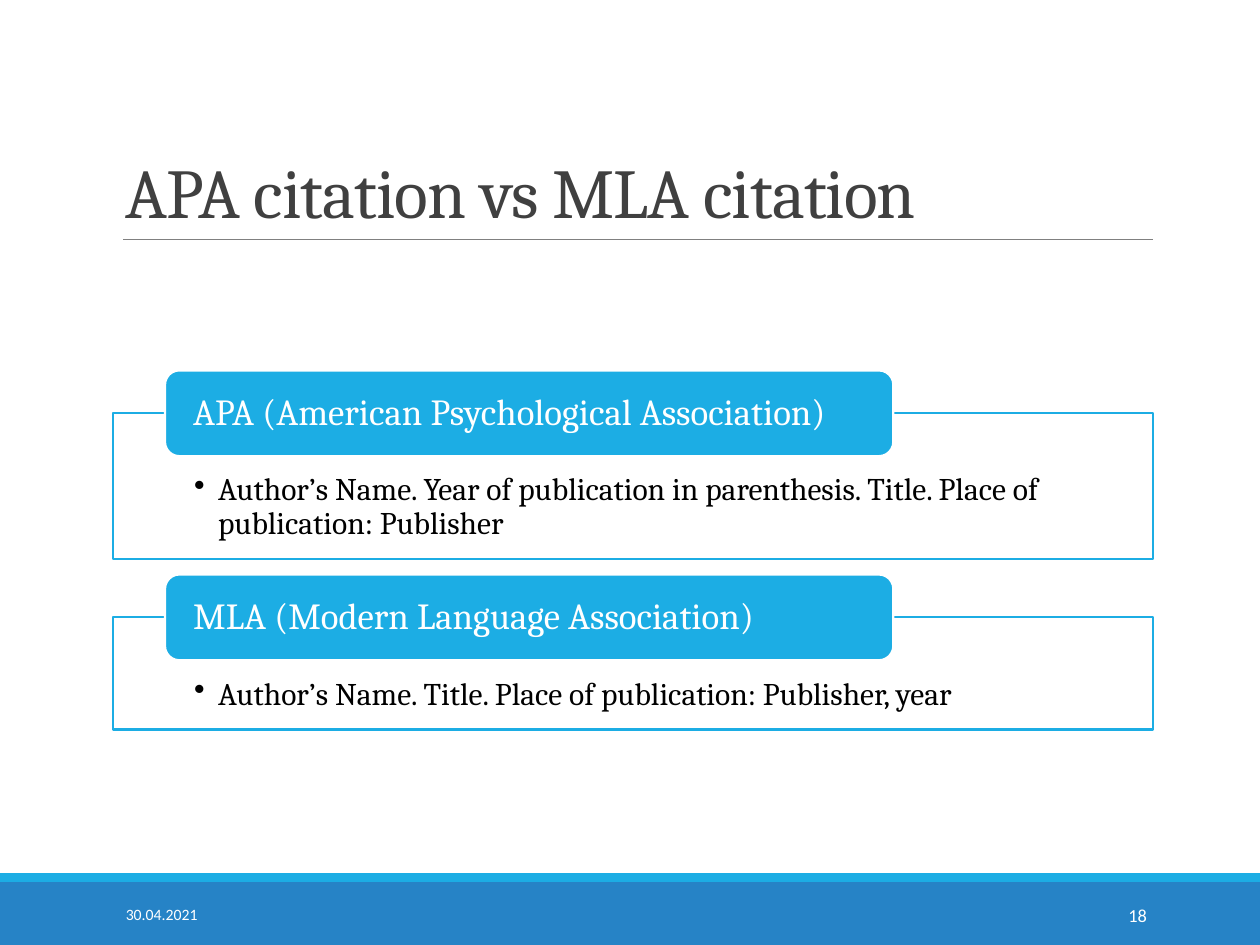
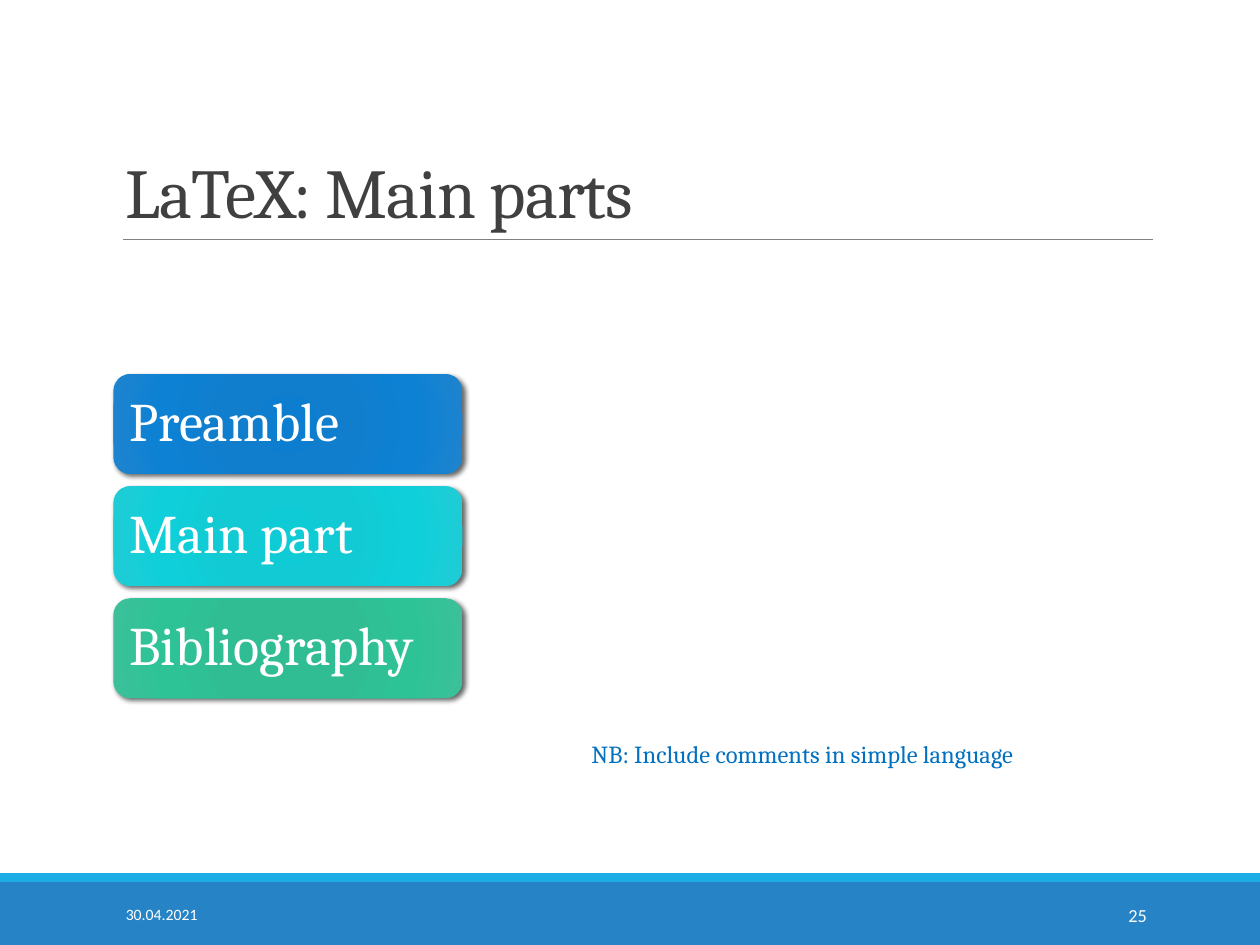
from dataclasses import dataclass

from lxml import etree
from pptx import Presentation
from pptx.dml.color import RGBColor
from pptx.enum.shapes import MSO_CONNECTOR, MSO_SHAPE
from pptx.enum.text import MSO_ANCHOR, PP_ALIGN
from pptx.oxml.ns import nsdecls, qn
from pptx.util import Inches, Pt

RECT, ROUND = MSO_SHAPE.RECTANGLE, MSO_SHAPE.ROUNDED_RECTANGLE
LINE = MSO_CONNECTOR.STRAIGHT
TOP, MIDDLE, BOTTOM = MSO_ANCHOR.TOP, MSO_ANCHOR.MIDDLE, MSO_ANCHOR.BOTTOM
LEFT, CENTER, RIGHT = PP_ALIGN.LEFT, PP_ALIGN.CENTER, PP_ALIGN.RIGHT

# Grid: 100 columns by 75 rows of square cells
SLIDE_W, SLIDE_H = 10, 7.5
COLS, ROWS = 100, 75
CELL = SLIDE_W / COLS
MARGIN, CONTENT_W = 9, 82.5
BAND_TOP, STRIPE_H = 70, 0.7

# Shared colours and fonts
SKY, BLUE, WHITE, BLACK = "1CADE4", "2683C6", "FFFFFF", "000000"
TITLE_GREY, RULE_GREY, NOTE_BLUE = "404040", "808080", "0070C0"
SERIF, SANS = "Cambria", "Calibri"
DATE = "30.04.2021"


@dataclass(frozen=True)
class Box:
    x: float
    y: float
    w: float
    h: float

    def emu(self) -> tuple:
        return tuple(grid(v) for v in (self.x, self.y, self.w, self.h))


@dataclass(frozen=True)
class Style:
    size: float
    color: str
    font: str = SERIF
    align: int = LEFT
    anchor: int = MIDDLE
    spacing: float = 1.0
    insets: tuple = (1, 0.5, 1, 0.5)


@dataclass(frozen=True)
class Citation:
    heading: str
    body: str
    y: float
    h: float


@dataclass(frozen=True)
class Part:
    name: str
    gradient: tuple


TITLE = Style(40, TITLE_GREY, anchor=BOTTOM, spacing=0.85)
DATE_STYLE = Style(9, WHITE, SANS)
NUMBER = Style(10.5, WHITE, SANS, RIGHT)
HEADING = Style(21, WHITE, spacing=0.9, insets=(1.9, 0, 1.9, 0))
BODY = Style(18, BLACK, anchor=TOP, spacing=0.9, insets=(6.4, 4.8, 6.4, 1.4))
PART = Style(31, WHITE, spacing=0.9, insets=(0.9, 0.9, 0.9, 0.9))
NOTE = Style(14, NOTE_BLUE, align=CENTER, anchor=TOP)

CITATIONS = (
    Citation("APA (American Psychological Association)",
             "Author’s Name. Year of publication in parenthesis. Title. "
             "Place of publication: Publisher", 32.8, 11.6),
    Citation("MLA (Modern Language Association)",
             "Author’s Name. Title. Place of publication: Publisher, year",
             49, 8.9),
)
STOPS = (0, 34, 70, 100)
PARTS = (
    Part("Preamble", ("0D7ECF", "117ECD", "0D81D4", "1E84CE")),
    Part("Main part", ("0ECBD5", "12CAD3", "0FD0DA", "20CBD4")),
    Part("Bibliography", ("2DBE94", "30BD94", "2EC397", "3CC09A")),
)


def grid(cells: float) -> int:
    return Inches(cells * CELL)


def rgb(color: str) -> RGBColor:
    return RGBColor.from_string(color)


def write(sp, text: str, style: Style):
    """Fill a shape with one styled paragraph and return it."""
    tf = sp.text_frame
    tf.word_wrap = True
    tf.vertical_anchor = style.anchor
    (tf.margin_left, tf.margin_top,
     tf.margin_right, tf.margin_bottom) = map(grid, style.insets)
    tf.text = text
    p = tf.paragraphs[0]
    p.alignment, p.line_spacing = style.align, style.spacing
    font = p.runs[0].font
    font.name, font.size = style.font, Pt(style.size)
    font.color.rgb = rgb(style.color)
    return p


def add_text(s, box: Box, text: str, style: Style):
    return write(s.shapes.add_textbox(*box.emu()), text, style)


def add_block(s, kind: int, box: Box, fill: str, line: str = ""):
    sp = s.shapes.add_shape(kind, *box.emu())
    sp.shadow.inherit = False
    sp.fill.solid()
    sp.fill.fore_color.rgb = rgb(fill)
    if line:
        sp.line.color.rgb = rgb(line)
        sp.line.width = Pt(1.25)
    else:
        sp.line.fill.background()
    return sp


def add_bullet(p) -> None:
    pPr = p._p.get_or_add_pPr()
    pPr.set("marL", str(grid(1.9)))
    pPr.set("indent", str(-grid(1.9)))
    etree.SubElement(pPr, qn("a:buChar")).set("char", "•")


def set_gradient(sp, colors: tuple) -> None:
    stops = "".join(f'<a:gs pos="{pos * 1000}"><a:srgbClr val="{color}"/></a:gs>'
                    for pos, color in zip(STOPS, colors))
    full = " ".join(f'{side}="100000"' for side in "ltrb")
    spPr = sp._element.spPr
    spPr.replace(spPr.find(qn("a:solidFill")), etree.fromstring(
        f'<a:gradFill {nsdecls("a")} rotWithShape="1"><a:gsLst>{stops}</a:gsLst>'
        f'<a:path path="circle"><a:fillToRect {full}/></a:path></a:gradFill>'))


def set_shadow(sp) -> None:
    sp._element.spPr.find(qn("a:effectLst")).append(etree.fromstring(
        f'<a:outerShdw {nsdecls("a")} blurRad="{Pt(3)}" dist="{Pt(2)}" '
        f'dir="2700000" algn="tl" rotWithShape="0"><a:srgbClr val="{BLACK}">'
        '<a:alpha val="60000"/></a:srgbClr></a:outerShdw>'))


def add_base(prs, title: str, number: int):
    """Add a slide with its title, rule, bands and footer."""
    s = prs.slides.add_slide(prs.slide_layouts[6])
    add_block(s, RECT, Box(0, BAND_TOP, COLS, ROWS - BAND_TOP), BLUE)
    add_block(s, RECT, Box(0, BAND_TOP - STRIPE_H, COLS, STRIPE_H), SKY)

    rule = s.shapes.add_connector(
        LINE, grid(9.8), grid(19), grid(MARGIN + CONTENT_W), grid(19))
    rule.line.color.rgb = rgb(RULE_GREY)
    rule.line.width = Pt(0.5)
    etree.SubElement(rule._element.spPr, qn("a:effectLst"))

    p = add_text(s, Box(MARGIN, 3.1, CONTENT_W, 15.9), title, TITLE)
    p.runs[0]._r.get_or_add_rPr().set("spc", "-50")
    add_text(s, Box(MARGIN, 70.6, 20.3, 4), DATE, DATE_STYLE)
    add_text(s, Box(81.2, 70.6, 10.8, 4), str(number), NUMBER)
    return s


def add_citation(s, item: Citation) -> None:
    frame = add_block(s, RECT, Box(MARGIN, item.y, CONTENT_W, item.h), WHITE, SKY)
    add_bullet(write(frame, item.body, BODY))
    tab = add_block(s, ROUND, Box(13.1, item.y - 3.4, 57.8, 6.8), SKY, WHITE)
    write(tab, item.heading, HEADING)


def add_part(s, index: int, part: Part) -> None:
    sp = add_block(s, ROUND, Box(MARGIN, 29.7 + 8.9 * index, 27.7, 7.9),
                   part.gradient[0])
    set_gradient(sp, part.gradient)
    set_shadow(sp)
    write(sp, part.name, PART)


def main() -> None:
    prs = Presentation()
    prs.slide_width, prs.slide_height = Inches(SLIDE_W), Inches(SLIDE_H)

    # Citation styles
    s = add_base(prs, "APA citation vs MLA citation", 18)
    for item in CITATIONS:
        add_citation(s, item)

    # Document parts
    s = add_base(prs, "LaTeX: Main parts", 25)
    for index, part in enumerate(PARTS):
        add_part(s, index, part)
    add_text(s, Box(38.9, 58.2, 50, 3.4),
             "NB: Include comments in simple language ", NOTE)

    prs.save("out.pptx")


if __name__ == "__main__":
    main()
